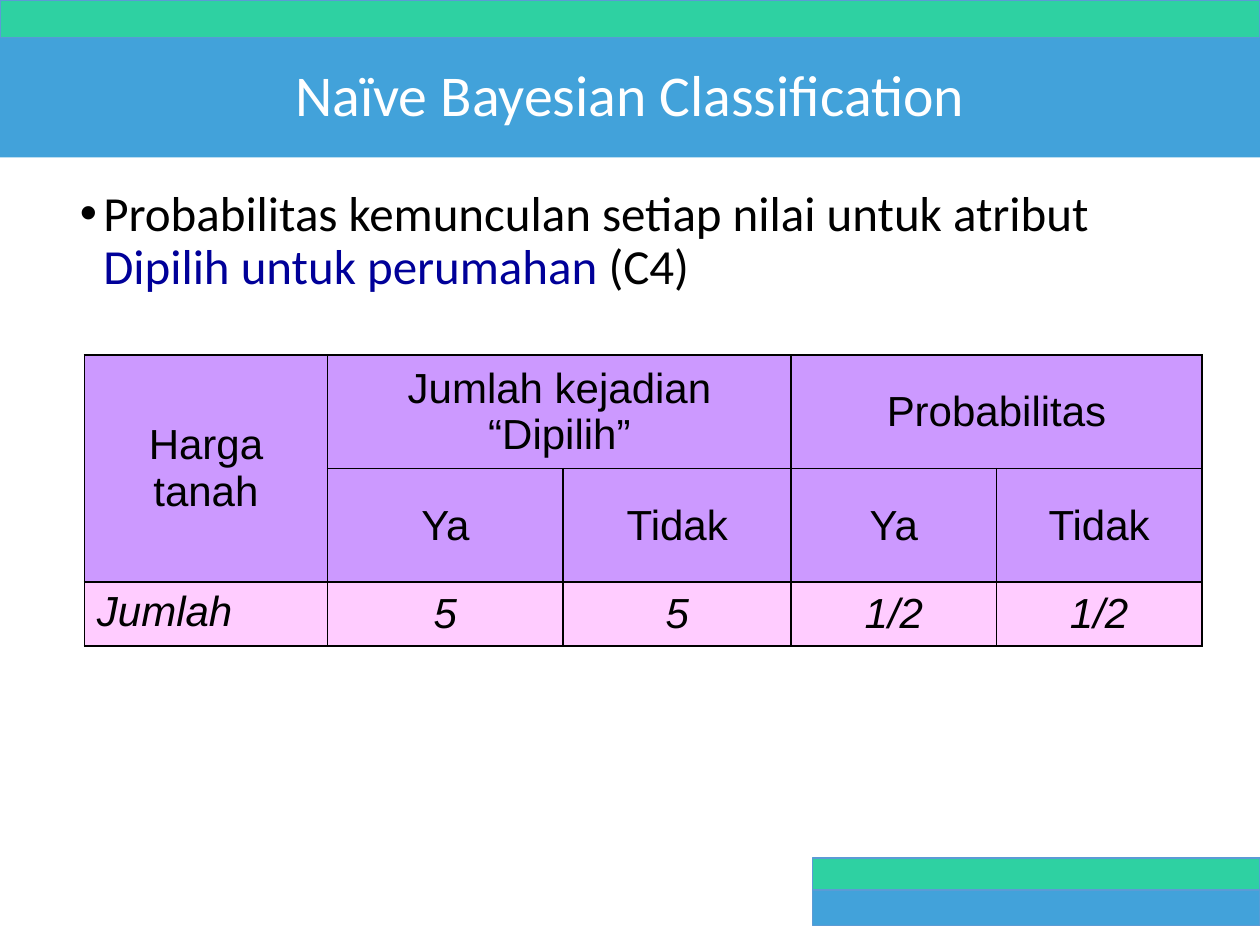
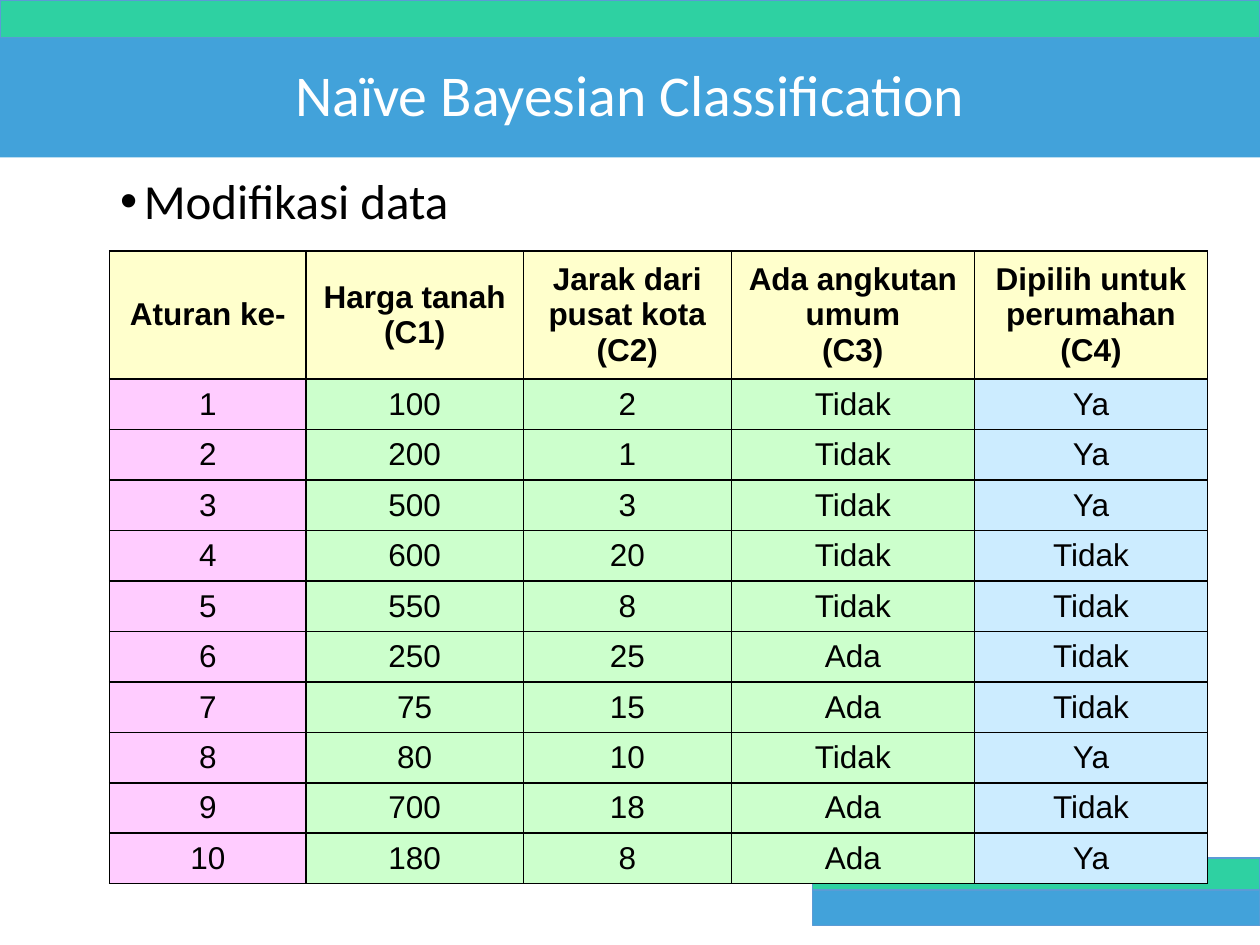
from dataclasses import dataclass

from lxml import etree
from pptx import Presentation
from pptx.dml.color import RGBColor
from pptx.enum.shapes import MSO_SHAPE
from pptx.enum.text import MSO_ANCHOR, MSO_AUTO_SIZE, PP_ALIGN
from pptx.oxml.ns import qn
from pptx.util import Pt

LEFT, CENTER = PP_ALIGN.LEFT, PP_ALIGN.CENTER
TOP, MIDDLE = MSO_ANCHOR.TOP, MSO_ANCHOR.MIDDLE
RECT, NO_FIT = MSO_SHAPE.RECTANGLE, MSO_AUTO_SIZE.NONE


@dataclass(frozen=True)
class Theme:
    """Colours, fonts and type sizes of the deck."""
    green: str = "2ED1A2"
    blue: str = "42A2DA"
    edge: str = "5B9BD5"
    white: str = "FFFFFF"
    ink: str = "000000"
    navy: str = "000099"
    violet: str = "CC99FF"
    pink: str = "FFCCFF"
    cream: str = "FFFFCC"
    mint: str = "CCFFCC"
    sky: str = "CCECFF"
    head: str = "Calibri"
    body: str = "Arial"
    title: int = 33
    point: int = 28


LOOK = Theme()
WIDTH, HEIGHT = 720, 540
TITLE = "Naïve Bayesian Classification"
TITLE_BOX = (0, 21.6, WIDTH, 68.4)
BANDS = [
    ((0, 0, WIDTH, 21.6), LOOK.green),
    ((0, 21.6, WIDTH, 21.6), LOOK.blue),
    ((464.4, 490.3, 255.6, 18.2), LOOK.green),
    ((464.4, 508.7, 255.6, 20.2), LOOK.blue),
]

CHANCE = {
    "point": [("Probabilitas kemunculan setiap nilai untuk atribut ", LOOK.ink),
              ("Dipilih untuk perumahan ", LOOK.navy), ("(C4)", LOOK.ink)],
    "box": (11.5, 104.4, 619.2, 71.3),
    "at": (48.2, 203),
    "cols": [139, 134.7, 130.3, 117.3, 117.3],
    "highs": [60.6, 60.6, 36.6],
    "rows": [["Harga tanah", "Jumlah kejadian “Dipilih”", "", "Probabilitas", ""],
             ["", "Ya", "Tidak", "Ya", "Tidak"],
             ["Jumlah", "5", "5", "1/2", "1/2"]],
    "spans": [((0, 0), (1, 0)), ((0, 1), (0, 2)), ((0, 3), (0, 4))],
    "fills": [[LOOK.violet] * 5] * 2 + [[LOOK.pink] * 5],
    "size": 24,
    "bold": [],
    "slant": [2],
    "high_left": [(2, 0)],
}

DATA = [
    (100, 2, "Tidak", "Ya"),
    (200, 1, "Tidak", "Ya"),
    (500, 3, "Tidak", "Ya"),
    (600, 20, "Tidak", "Tidak"),
    (550, 8, "Tidak", "Tidak"),
    (250, 25, "Ada", "Tidak"),
    (75, 15, "Ada", "Tidak"),
    (80, 10, "Tidak", "Ya"),
    (700, 18, "Ada", "Tidak"),
    (180, 8, "Ada", "Ya"),
]
RULES = {
    "point": [("Modifikasi data", LOOK.ink)],
    "box": (34.6, 97.9, 318.2, 38.9),
    "at": (62.6, 143.3),
    "cols": [112.3, 124.2, 118.8, 139, 133.2],
    "highs": [73.4] + [27.35] * len(DATA),
    "rows": [["Aturan ke-", "Harga tanah\n(C1)", "Jarak dari pusat kota\n(C2)",
              "Ada angkutan umum\n(C3)", "Dipilih untuk perumahan\n(C4)"]]
            + [[num, *row] for num, row in enumerate(DATA, 1)],
    "spans": [],
    "fills": [[LOOK.cream] * 5]
             + [[LOOK.pink] + [LOOK.mint] * 3 + [LOOK.sky]] * len(DATA),
    "size": 18,
    "bold": [0],
    "slant": [],
    "high_left": [],
}


def paint(fill, tint):
    """Make a fill one solid colour."""
    fill.solid()
    fill.fore_color.rgb = RGBColor.from_string(tint)


def write(frame, paras, *, font, size, align=LEFT, bold=False, slant=False,
          lead=None, bullet=False):
    """Write paragraphs, each a list of (text, colour) runs."""
    frame.word_wrap = True
    for num, runs in enumerate(paras):
        para = frame.add_paragraph() if num else frame.paragraphs[0]
        para.alignment = align
        if lead:
            para.line_spacing = lead
        if bullet:
            para.level = 1
            props = para._p.get_or_add_pPr()
            props.set("marL", str(Pt(40.5)))
            props.set("indent", str(Pt(-13.5)))
            etree.SubElement(props, qn("a:buFont"), typeface=LOOK.body)
            etree.SubElement(props, qn("a:buChar"), char="•")
        for text, tint in runs:
            run = para.add_run()
            run.text = text
            run.font.name, run.font.size = font, Pt(size)
            run.font.bold, run.font.italic = bold, slant
            run.font.color.rgb = RGBColor.from_string(tint)


def frame_slide(deck):
    """Add a slide with its bands and title."""
    slide = deck.slides.add_slide(deck.slide_layouts[5])
    for box, tint in BANDS:
        band = slide.shapes.add_shape(RECT, *map(Pt, box))
        band.shadow.inherit = False
        paint(band.fill, tint)
        paint(band.line.fill, LOOK.edge)
        band.line.width = Pt(0.9)
    title = slide.shapes.title
    slide.shapes._spTree.append(title._element)
    title.left, title.top, title.width, title.height = map(Pt, TITLE_BOX)
    paint(title.fill, LOOK.blue)
    title.text_frame.auto_size = NO_FIT
    title.text_frame.vertical_anchor = MIDDLE
    write(title.text_frame, [[(TITLE, LOOK.white)]], font=LOOK.head,
          size=LOOK.title, align=CENTER, lead=0.9)
    return slide


def edge(cell):
    """Draw a thin line on all four sides of a cell."""
    props = cell._tc.get_or_add_tcPr()
    for side in ("lnL", "lnR", "lnT", "lnB"):
        line = etree.SubElement(props, qn(f"a:{side}"), w=str(Pt(1)))
        fill = etree.SubElement(line, qn("a:solidFill"))
        etree.SubElement(fill, qn("a:srgbClr"), val=LOOK.ink)


def add_grid(slide, part):
    """Add the table that a slide describes."""
    cols, highs = part["cols"], part["highs"]
    spot = map(Pt, (*part["at"], sum(cols), sum(highs)))
    table = slide.shapes.add_table(len(highs), len(cols), *spot).table
    table.first_row = table.horz_banding = False
    for col, wide in zip(table.columns, cols):
        col.width = Pt(wide)
    for row, high in zip(table.rows, highs):
        row.height = Pt(high)
    for start, end in part["spans"]:
        table.cell(*start).merge(table.cell(*end))
    for y, row in enumerate(part["rows"]):
        for x, value in enumerate(row):
            cell = table.cell(y, x)
            edge(cell)
            paint(cell.fill, part["fills"][y][x])
            if value == "":
                continue
            high_left = (y, x) in part["high_left"]
            cell.vertical_anchor = TOP if high_left else MIDDLE
            paras = [[(text, LOOK.ink)] for text in str(value).split("\n")]
            write(cell.text_frame, paras, font=LOOK.body, size=part["size"],
                  align=LEFT if high_left else CENTER,
                  bold=y in part["bold"], slant=y in part["slant"])


def main():
    """Build and save the deck."""
    deck = Presentation()
    deck.slide_width, deck.slide_height = Pt(WIDTH), Pt(HEIGHT)
    for part in (CHANCE, RULES):
        slide = frame_slide(deck)
        box = slide.shapes.add_textbox(*map(Pt, part["box"]))
        write(box.text_frame, [part["point"]], font=LOOK.head,
              size=LOOK.point, lead=0.9, bullet=True)
        add_grid(slide, part)
    deck.save("out.pptx")


if __name__ == "__main__":
    main()
